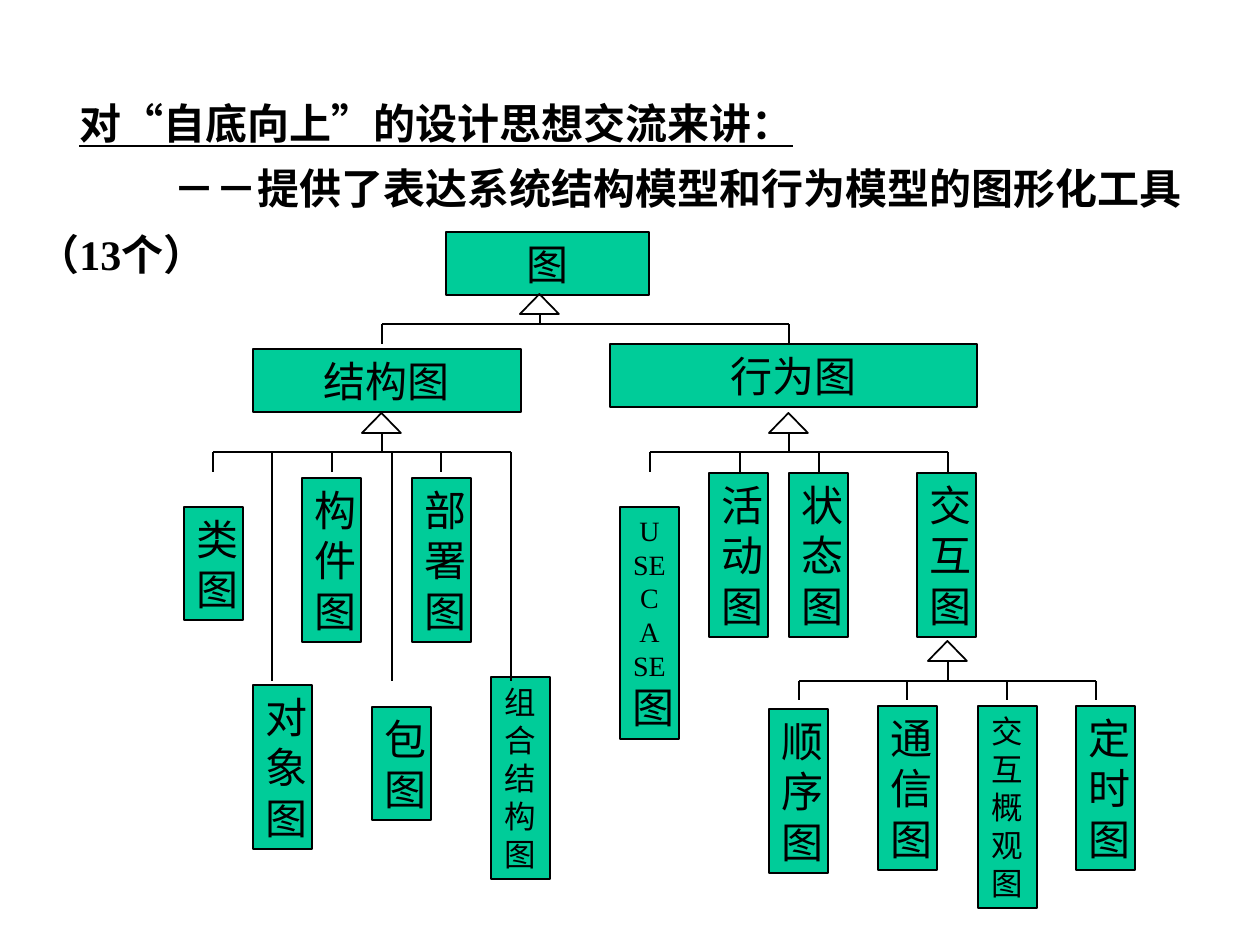
from pptx import Presentation
from pptx.dml.color import RGBColor
from pptx.enum.shapes import MSO_CONNECTOR, MSO_SHAPE
from pptx.enum.text import MSO_ANCHOR, MSO_AUTO_SIZE, PP_ALIGN
from pptx.oxml.ns import qn
from pptx.util import Pt
from lxml.etree import SubElement

PX = 914400 // 126
INK, GREEN = "000000", "00CC99"


def paint(color, code):
    color.rgb = RGBColor.from_string(code)


def draw_line(x1, y1, x2, y2):
    line = slide.shapes.add_connector(
        MSO_CONNECTOR.STRAIGHT, x1 * PX, y1 * PX, x2 * PX, y2 * PX)
    SubElement(line._element.spPr, qn("a:effectLst"))
    line.line.width = Pt(1.5)
    paint(line.line.color, INK)


deck = Presentation()
deck.slide_width, deck.slide_height = 1260 * PX, 945 * PX
slide = deck.slides.add_slide(deck.slide_layouts[6])

# Heading: text, first-line indent, underline
heads = [
    ("对“自底向上”的设计思想交流来讲：", 42, True),
    ("－－提供了表达系统结构模型和行为模型的图形化工具（13个）", 136, False),
]
frame = slide.shapes.add_textbox(25 * PX, 76 * PX, 1211 * PX, 209 * PX).text_frame
frame.word_wrap = True
for i, (text, indent, under) in enumerate(heads):
    para = frame.add_paragraph() if i else frame.paragraphs[0]
    para.text = text
    para.line_spacing = 1.3
    para._p.get_or_add_pPr().set("indent", str(indent * PX))
    font = para.font
    font.name, font.size, font.bold, font.underline = "Times New Roman", Pt(24), True, under
    paint(font.color, INK)

# Boxes: left, top, width, height, then (text, size) per paragraph
boxes = [
    (446, 232, 203, 63, [("图", 24)]),
    (610, 344, 367, 63, [("行为图", 24)]),
    (253, 349, 268, 63, [("结构图", 24)]),
]
# Narrow boxes share one width
leaves = [
    (184, 507, 113, [("类", 24), ("图", 24)]),
    (253, 685, 164, [("对象图", 24)]),
    (302, 478, 164, [("构件图", 24)]),
    (372, 707, 113, [("包", 24), ("图", 24)]),
    (412, 478, 164, [("部署图", 24)]),
    (491, 677, 202, [("组合结构", 18), ("图", 18)]),
    (620, 507, 232, [("USE CASE", 16), ("图", 24)]),
    (709, 473, 164, [("活动图", 24)]),
    (789, 473, 164, [("状态图", 24)]),
    (917, 473, 164, [("交互图", 24)]),
    (769, 709, 164, [("顺序图", 24)]),
    (878, 706, 164, [("通信图", 24)]),
    (978, 706, 202, [("交互概观", 18), ("图", 18)]),
    (1076, 706, 164, [("定时图", 24)]),
]
boxes += [(x, y, 59, h, parts) for x, y, h, parts in leaves]
for x, y, w, h, parts in boxes:
    box = slide.shapes.add_shape(MSO_SHAPE.RECTANGLE, x * PX, y * PX, w * PX, h * PX)
    box.shadow.inherit = False
    box.fill.solid()
    paint(box.fill.fore_color, GREEN)
    box.line.width = Pt(1)
    paint(box.line.color, INK)
    frame = box.text_frame
    frame.word_wrap = True
    frame.auto_size = MSO_AUTO_SIZE.SHAPE_TO_FIT_TEXT
    frame.vertical_anchor = MSO_ANCHOR.MIDDLE
    for i, (text, size) in enumerate(parts):
        para = frame.add_paragraph() if i else frame.paragraphs[0]
        para.text = text
        para.alignment = PP_ALIGN.CENTER
        para.font.name, para.font.size = "Times New Roman", Pt(size)
        paint(para.font.color, INK)

# Branches: stem x, triangle top, bar y, then (x, end y) per drop
trees = [
    (540, 294, 324, [(382, 344), (789, 344)]),
    (382, 413, 452, [(213, 472), (272, 681), (332, 472),
                     (392, 681), (441, 472), (511, 681)]),
    (789, 413, 452, [(650, 472), (740, 472), (819, 472), (948, 472)]),
    (948, 641, 681, [(799, 700), (907, 700), (1007, 700), (1096, 700)]),
]
for stem, top, bar, drops in trees:
    tip = slide.shapes.add_shape(
        MSO_SHAPE.FLOWCHART_EXTRACT, (stem - 20) * PX, top * PX, 39 * PX, 20 * PX)
    tip.shadow.inherit = False
    tip.fill.background()
    tip.line.width = Pt(1)
    paint(tip.line.color, INK)
    draw_line(stem, top + 20, stem, bar)
    draw_line(drops[0][0], bar, drops[-1][0], bar)
    for x, end in drops:
        draw_line(x, bar, x, end)

deck.save("out.pptx")
